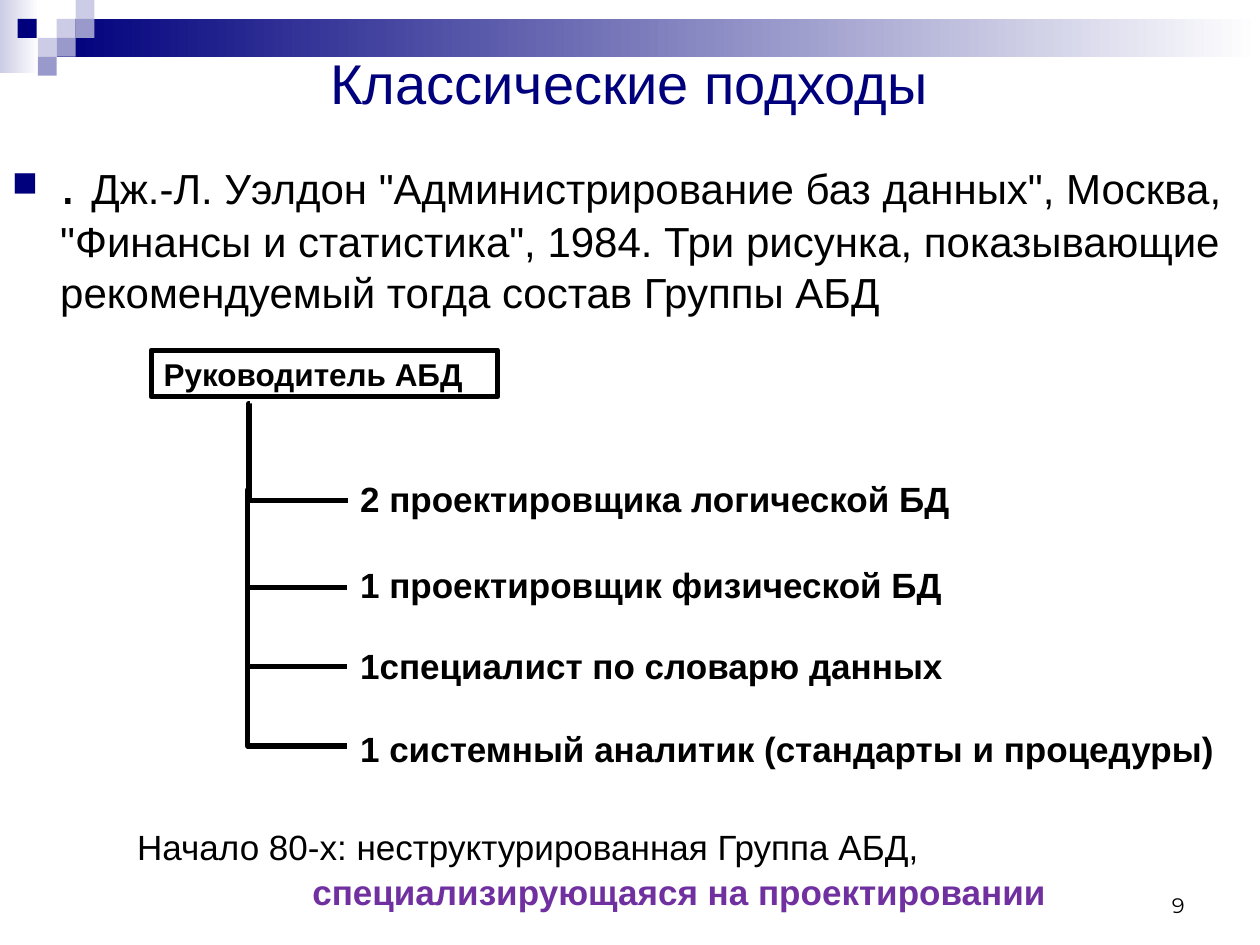
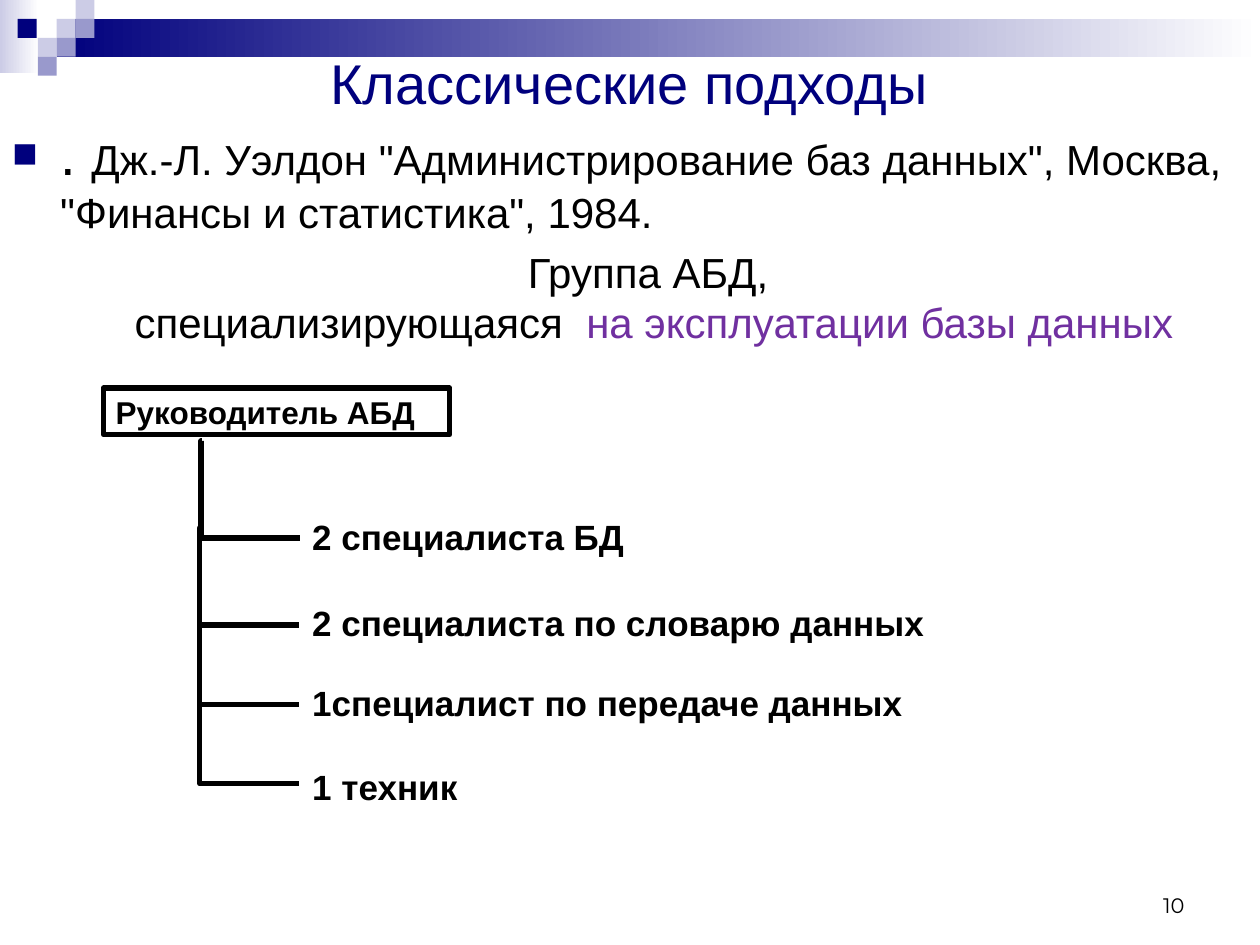
from dataclasses import dataclass

from lxml.etree import SubElement
from pptx import Presentation
from pptx.dml.color import RGBColor as Rgb
from pptx.enum.shapes import MSO_CONNECTOR as Connector, MSO_SHAPE as Shape
from pptx.enum.text import MSO_ANCHOR as Anchor, PP_ALIGN as Align
from pptx.oxml.ns import qn
from pptx.util import Inches, Pt


@dataclass(frozen=True)
class Theme:
    navy: Rgb = Rgb(0x00, 0x00, 0x7D)
    lavender: Rgb = Rgb(0x99, 0x99, 0xCC)
    pale: Rgb = Rgb(0xCC, 0xCC, 0xE6)
    white: Rgb = Rgb(0xFF, 0xFF, 0xFF)
    black: Rgb = Rgb(0x00, 0x00, 0x00)
    purple: Rgb = Rgb(0x70, 0x30, 0xA0)
    font: str = "Arial"
    number_font: str = "Montserrat"
    title: int = 32
    lead: int = 32
    body: int = 24
    label: int = 20
    head: int = 18
    number: int = 12
    line: int = 3


THEME = Theme()
TITLE = "Классические подходы"
SOURCE = 'Дж.-Л. Уэлдон "Администрирование баз данных", Москва, "Финансы и статистика", 1984.'


def add_run(paragraph, text, size, color=THEME.black, bold=False, font=THEME.font):
    run = paragraph.add_run()
    run.text = text
    run.font.name, run.font.size, run.font.bold = font, Pt(size), bold
    run.font.color.rgb = color


def add_frame(slide, box, anchor=Anchor.TOP, top_inset=0.05):
    """Add a wrapping text box and return its text frame."""
    frame = slide.shapes.add_textbox(*map(Inches, box)).text_frame
    frame.word_wrap = True
    frame.vertical_anchor = anchor
    frame.margin_top = Inches(top_inset)
    return frame


def add_rectangle(slide, box):
    rectangle = slide.shapes.add_shape(Shape.RECTANGLE, *map(Inches, box))
    rectangle.shadow.inherit = False
    rectangle.line.fill.background()
    return rectangle


def set_indent(paragraph, left, first=0):
    properties = paragraph._p.get_or_add_pPr()
    properties.set("marL", str(Inches(left)))
    properties.set("indent", str(Inches(first)))
    return properties


def add_square_bullet(paragraph):
    properties = set_indent(paragraph, 0.38, -0.38)
    color = SubElement(properties, qn("a:buClr"))
    SubElement(color, qn("a:srgbClr"), val=str(THEME.navy))
    SubElement(properties, qn("a:buSzPct"), val="75000")
    SubElement(properties, qn("a:buFont"), typeface=THEME.font)
    SubElement(properties, qn("a:buChar"), char="■")


def add_band(slide):
    for box, start in (((0, 0, 0.31, 0.58), THEME.pale),
                       ((0.45, 0.15, 9.55, 0.3), THEME.navy)):
        fill = add_rectangle(slide, box).fill
        fill.gradient()
        fill.gradient_angle = 0
        for stop, color in zip(fill.gradient_stops, (start, THEME.white)):
            stop.color.rgb = color
    side = 0.15
    for left, top, color in ((0.45, 0.15, THEME.pale), (0.6, 0, THEME.pale),
                             (0.6, 0.15, THEME.lavender), (0.3, 0.3, THEME.pale),
                             (0.14, 0.15, THEME.navy), (0.45, 0.3, THEME.lavender),
                             (0.3, 0.45, THEME.lavender)):
        fill = add_rectangle(slide, (left, top, side, side)).fill
        fill.solid()
        fill.fore_color.rgb = color


def add_title(slide):
    paragraph = add_frame(slide, (0.65, 0.29, 8.69, 0.73), Anchor.MIDDLE).paragraphs[0]
    paragraph.alignment = Align.CENTER
    add_run(paragraph, TITLE, THEME.title, THEME.navy)


def add_number(slide, number):
    paragraph = add_frame(slide, (7.17, 6.83, 2.33, 0.5), Anchor.BOTTOM).paragraphs[0]
    paragraph.alignment = Align.RIGHT
    add_run(paragraph, str(number), THEME.number, font=THEME.number_font)


def add_citation(slide, box, text):
    frame = add_frame(slide, box, top_inset=0.09)
    paragraph = frame.paragraphs[0]
    add_square_bullet(paragraph)
    add_run(paragraph, ". ", THEME.lead)
    add_run(paragraph, text, THEME.body)
    return frame


def add_branch(slide, left, top):
    """Draw an elbow that goes down first, then right to a role."""
    reach, drop = 0.78, 0.77
    branch = slide.shapes.add_connector(
        Connector.ELBOW, *map(Inches, (left, top, left + reach, top + drop)))
    branch.line.color.rgb = THEME.black
    branch.line.width = Pt(THEME.line)
    properties = branch._element.spPr
    adjustments = properties.find(qn("a:prstGeom")).get_or_add_avLst()
    SubElement(adjustments, qn("a:gd"), name="adj1", fmla="val -600")
    SubElement(properties, qn("a:effectLst"))


def add_staff_tree(slide, left, top, roles):
    head = add_rectangle(slide, (left, top, 2.75, 0.37))
    head.fill.background()
    head.line.color.rgb = THEME.black
    head.line.width = Pt(THEME.line)
    frame = head.text_frame
    frame.word_wrap = True
    frame.vertical_anchor = Anchor.TOP
    frame.margin_top = Inches(0.07)
    paragraph = frame.paragraphs[0]
    paragraph.alignment = Align.LEFT
    paragraph.line_spacing = 0.9
    add_run(paragraph, "Руководитель АБД", THEME.head, bold=True)

    role_tops = (0.98, 1.66, 2.3, 2.96)
    for role, role_top in zip(roles, role_tops):
        box = (left + 1.56, top + role_top, 7.03, 0.4)
        paragraph = add_frame(slide, box, top_inset=0.07).paragraphs[0]
        paragraph.line_spacing = 0.9
        add_run(paragraph, role, THEME.label, bold=True)

    add_branch(slide, left + 0.78, top + 0.42)
    for step in range(len(roles) - 1):
        add_branch(slide, left + 0.77, top + 1.11 + 0.63 * step)


def add_caption(slide, box):
    frame = add_frame(slide, box, top_inset=0.07)
    period, focus = frame.paragraphs[0], frame.add_paragraph()
    add_run(period, "Начало 80-х: неструктурированная Группа АБД,", THEME.label)
    set_indent(focus, 1.39)
    focus.space_before = Pt(4)
    add_run(focus, "специализирующаяся на проектировании", THEME.label,
            THEME.purple, bold=True)
    for paragraph in (period, focus):
        paragraph.line_spacing = 0.9


def add_base_slide(deck, number):
    slide = deck.slides.add_slide(deck.slide_layouts[6])
    add_band(slide)
    add_title(slide)
    add_number(slide, number)
    return slide


def build_design_group(deck):
    slide = add_base_slide(deck, 9)
    add_citation(slide, (0, 1.09, 10, 6.08),
                 SOURCE + " Три рисунка, показывающие рекомендуемый тогда состав Группы АБД")
    add_caption(slide, (0.99, 6.52, 8.02, 0.77))
    add_staff_tree(slide, 1.2, 2.78, (
        "2 проектировщика логической БД",
        "1 проектировщик физической БД",
        "1специалист по словарю данных",
        "1 системный аналитик (стандарты и процедуры)"))


def build_operations_group(deck):
    slide = add_base_slide(deck, 10)
    frame = add_citation(slide, (0, 0.86, 10, 6.31), SOURCE)
    focus = frame.add_paragraph()
    set_indent(focus, 0.38)
    focus.alignment = Align.CENTER
    focus.space_before = Pt(5)
    add_run(focus, "Группа АБД, ", THEME.body)
    focus.add_line_break()
    add_run(focus, "специализирующаяся  ", THEME.body)
    add_run(focus, "на эксплуатации базы данных", THEME.body, THEME.purple)
    add_staff_tree(slide, 0.82, 3.08, (
        "2 специалиста БД",
        "2 специалиста по словарю данных",
        "1специалист по передаче данных",
        "1 техник"))


def main():
    deck = Presentation()
    deck.slide_width, deck.slide_height = Inches(10), Inches(7.5)
    build_design_group(deck)
    build_operations_group(deck)
    deck.save("out.pptx")


if __name__ == "__main__":
    main()
